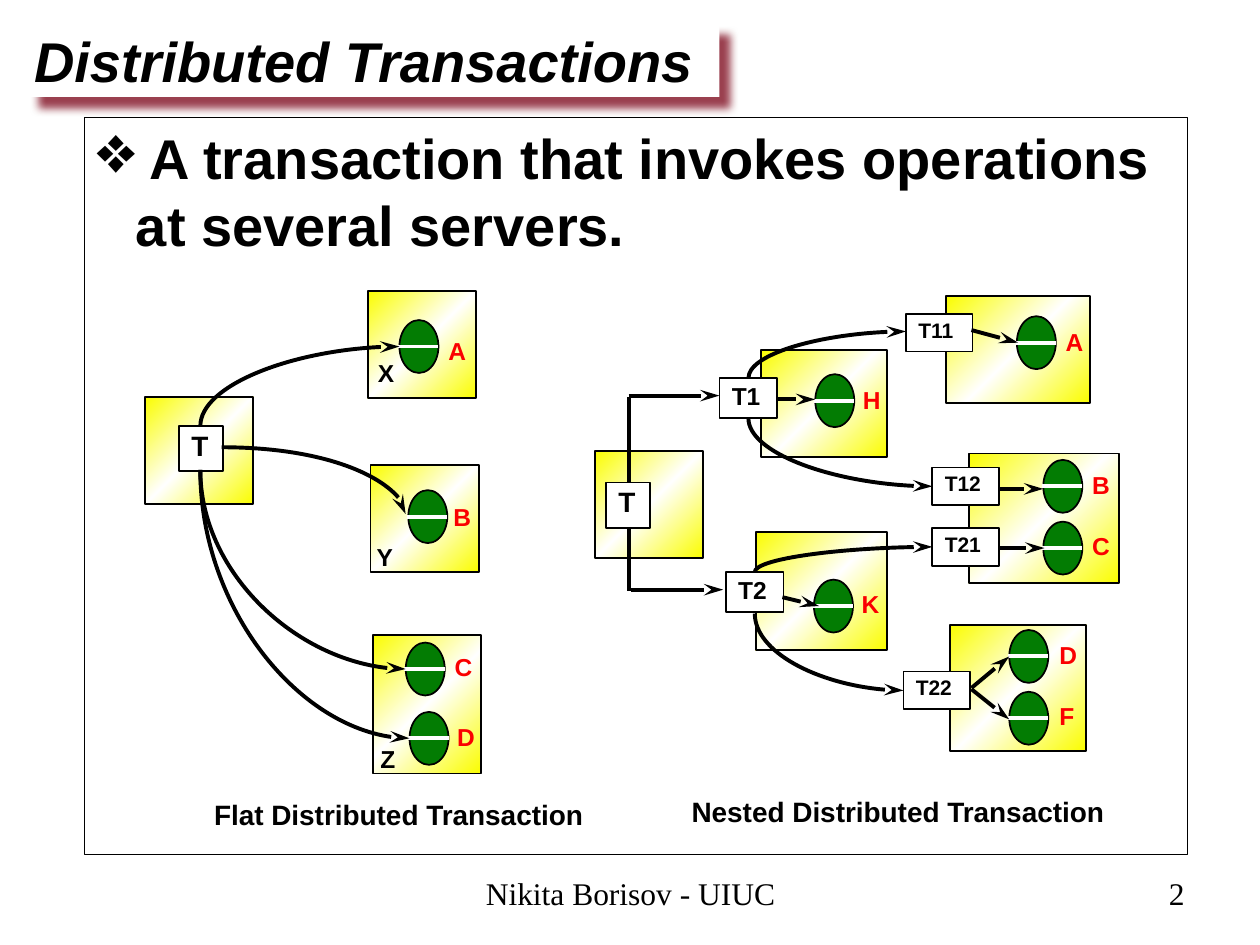
from copy import deepcopy

from lxml.etree import SubElement
from pptx import Presentation
from pptx.dml.color import RGBColor
from pptx.enum.shapes import MSO_CONNECTOR, MSO_SHAPE
from pptx.enum.text import MSO_ANCHOR, PP_ALIGN
from pptx.oxml.ns import qn
from pptx.util import Inches, Pt

BLACK = RGBColor(0x00, 0x00, 0x00)
WHITE = RGBColor(0xFF, 0xFF, 0xFF)
YELLOW = RGBColor(0xFA, 0xFD, 0x00)
GREEN = RGBColor(0x03, 0x7C, 0x03)
RED = RGBColor(0xFA, 0x00, 0x00)

presentation = Presentation()
presentation.slide_width = Inches(10)
presentation.slide_height = Inches(7.5)
slide = presentation.slides.add_slide(presentation.slide_layouts[6])


def add_box(left, top, width, height, text="", size=14, color=BLACK, fill=None,
            border=None, preset=MSO_SHAPE.RECTANGLE, spacing=0.9, **font_values):
    place = [Inches(value) for value in (left, top, width, height)]
    shape = slide.shapes.add_shape(preset, *place)
    shape.shadow.inherit = False
    if fill is None:
        shape.fill.background()
    else:
        shape.fill.solid()
        shape.fill.fore_color.rgb = fill
    if border is None:
        shape.line.fill.background()
    else:
        shape.line.color.rgb = BLACK
        shape.line.width = Pt(border)
    if text:
        frame_values = {"word_wrap": True, "vertical_anchor": MSO_ANCHOR.TOP}
        for name, value in frame_values.items():
            setattr(shape.text_frame, name, value)
        paragraph = shape.text_frame.paragraphs[0]
        paragraph.alignment = PP_ALIGN.LEFT
        paragraph.line_spacing = spacing
        run = paragraph.add_run()
        run.text = text
        run.font.color.rgb = color
        values = {"name": "Arial", "size": Pt(size), "bold": True, **font_values}
        for name, value in values.items():
            setattr(run.font, name, value)
    return shape


def add_line(x1, y1, x2, y2, color=BLACK, arrow=True, curve=None):
    ends = (x1, y1, x2, y2)
    if curve == "vertical":
        across, along = abs(x2 - x1), abs(y2 - y1)
        left = (x1 + x2 - along) / 2
        top = (y1 + y2 - across) / 2
        ends = (left, top, left + along, top + across)
    kind = MSO_CONNECTOR.CURVE if curve else MSO_CONNECTOR.STRAIGHT
    connector = slide.shapes.add_connector(kind, *[Inches(value) for value in ends])
    connector.line.color.rgb = color
    connector.line.width = Pt(2.25)
    properties = connector._element.spPr
    if curve:
        properties.find(qn("a:prstGeom")).set("prst", "curvedConnector2")
    if curve == "vertical":
        transform = properties.find(qn("a:xfrm"))
        transform.set("rot", "16200000")
        if y2 > y1:
            transform.set("flipH", "1")
    if arrow:
        line = properties.find(qn("a:ln"))
        SubElement(line, qn("a:tailEnd"), type="stealth", w="med", len="lg")
    SubElement(properties, qn("a:effectLst"))


title = add_box(0.22, 0.19, 5.49, 0.58, "Distributed Transactions", 32,
                fill=WHITE, spacing=1, italic=True)
title_values = {"margin_left": Inches(0.05), "margin_right": Inches(0.05),
                "margin_top": Inches(0.02), "margin_bottom": Inches(0.02),
                "word_wrap": False}
for name, value in title_values.items():
    setattr(title.text_frame, name, value)
effects = title._element.spPr.find(qn("a:effectLst"))
shadow = SubElement(effects, qn("a:outerShdw"), blurRad=str(Pt(5)), dist=str(Pt(8.5)),
                    dir="2700000", algn="ctr", rotWithShape="0")
shadow_color = SubElement(shadow, qn("a:srgbClr"), val="790015")
SubElement(shadow_color, qn("a:alpha"), val="75000")

body = add_box(0.67, 0.93, 8.75, 5.85,
               " A transaction that invokes operations at several servers.",
               32, border=0.25, spacing=1)
bullet_properties = body.text_frame.paragraphs[0]._p.get_or_add_pPr()
bullet_properties.set("marL", str(Inches(0.31)))
bullet_properties.set("indent", str(Inches(-0.31)))
bullet_color = SubElement(bullet_properties, qn("a:buClr"))
SubElement(bullet_color, qn("a:srgbClr"), val="000000")
SubElement(bullet_properties, qn("a:buSzPct"), val="120000")
SubElement(bullet_properties, qn("a:buChar"), char="❖")

servers = [
    (1.15, 3.15, 0.86, 0.85), (2.92, 2.31, 0.86, 0.85), (2.94, 3.69, 0.86, 0.85),
    (2.96, 5.04, 0.86, 1.1), (4.72, 3.58, 0.86, 0.85), (6.04, 2.78, 1, 0.85),
    (6, 4.22, 1.04, 0.94), (7.51, 2.35, 1.14, 0.85), (7.69, 3.6, 1.19, 1.03),
    (7.54, 4.96, 1.08, 1),
]
for place in servers:
    server = add_box(*place, fill=YELLOW, border=1)
    server.fill.gradient()
    server.fill.gradient_angle = 315
    stop_list = server._element.spPr.find(qn("a:gradFill")).find(qn("a:gsLst"))
    stop_list.insert(1, deepcopy(stop_list[0]))
    for stop, position, color in zip(server.fill.gradient_stops, (0, 0.5, 1),
                                     (YELLOW, WHITE, YELLOW)):
        stop.position = position
        stop.color.rgb = color

objects = [
    ("A", 3.17, 2.54, 3.46, 2.64), ("B", 3.24, 3.89, 3.5, 3.96),
    ("C", 3.22, 5.1, 3.51, 5.15), ("D", 3.25, 5.65, 3.53, 5.71),
    ("A", 8.07, 2.51, 8.36, 2.57), ("B", 8.28, 3.65, 8.57, 3.71),
    ("C", 8.28, 4.14, 8.57, 4.19), ("D", 8.01, 5, 8.31, 5.06),
    ("F", 8.01, 5.49, 8.31, 5.54), ("H", 6.47, 2.97, 6.75, 3.03),
    ("K", 6.46, 4.6, 6.74, 4.65),
]
for letter, left, top, letter_left, letter_top in objects:
    add_box(left, top, 0.31, 0.42, fill=GREEN, border=1, preset=MSO_SHAPE.OVAL)
    add_line(left - 0.01, top + 0.21, left + 0.31, top + 0.21, WHITE, arrow=False)
    add_box(letter_left, letter_top, 0.35, 0.31, letter, color=RED)

for letter, left, top in [("X", 2.9, 2.82), ("Y", 2.89, 4.28), ("Z", 2.92, 5.88)]:
    add_box(left, top, 0.31, 0.31, letter)

transactions = [
    ("T", 1.42, 3.38, 0.35, 0.36, 16), ("T", 4.81, 3.83, 0.35, 0.36, 16),
    ("T1", 5.71, 3, 0.46, 0.32, 14), ("T2", 5.76, 4.54, 0.46, 0.32, 14),
    ("T11", 7.19, 2.49, 0.53, 0.3, 12), ("T12", 7.4, 3.71, 0.53, 0.3, 12),
    ("T21", 7.4, 4.19, 0.53, 0.3, 12), ("T22", 7.17, 5.33, 0.53, 0.3, 12),
]
for label, left, top, width, height, size in transactions:
    add_box(left, top, width, height, label, size, fill=WHITE, border=1)

add_line(1.76, 3.55, 3.22, 4.08, curve="horizontal")
vertical_curves = [
    (1.59, 3.38, 3.17, 2.75), (1.59, 3.73, 3.22, 5.31), (1.59, 3.73, 3.25, 5.86),
    (5.99, 4.87, 7.17, 5.48), (5.94, 3, 7.19, 2.63), (5.94, 3.32, 7.4, 3.86),
    (5.99, 4.54, 7.4, 4.34),
]
for ends in vertical_curves:
    add_line(*ends, curve="vertical")
for ends in [(4.99, 3.83, 4.99, 3.15), (4.99, 4.69, 4.99, 4.19)]:
    add_line(*ends, arrow=False)
straight_arrows = [
    (4.99, 3.14, 5.71, 3.14), (5.01, 4.68, 5.74, 4.68), (6.17, 3.17, 6.47, 3.17),
    (6.21, 4.74, 6.5, 4.81), (7.71, 2.62, 8.08, 2.72), (7.93, 3.88, 8.28, 3.88),
    (7.93, 4.35, 8.29, 4.35), (7.71, 5.46, 8.01, 5.21), (7.71, 5.47, 8.01, 5.71),
]
for ends in straight_arrows:
    add_line(*ends)

add_box(1.6, 6.31, 3.58, 0.34, "Flat Distributed Transaction", 16)
add_box(5.39, 6.29, 3.58, 0.34, "Nested Distributed Transaction", 16)

footers = [("Nikita Borisov - UIUC", 3.42, 3.17, PP_ALIGN.CENTER),
           ("2", 7.17, 2.33, PP_ALIGN.RIGHT)]
for text, left, width, alignment in footers:
    footer = add_box(left, 6.83, width, 0.52, text, 18, spacing=1,
                     name="Times New Roman", bold=False)
    footer.text_frame.vertical_anchor = MSO_ANCHOR.MIDDLE
    footer.text_frame.paragraphs[0].alignment = alignment

presentation.save("out.pptx")
